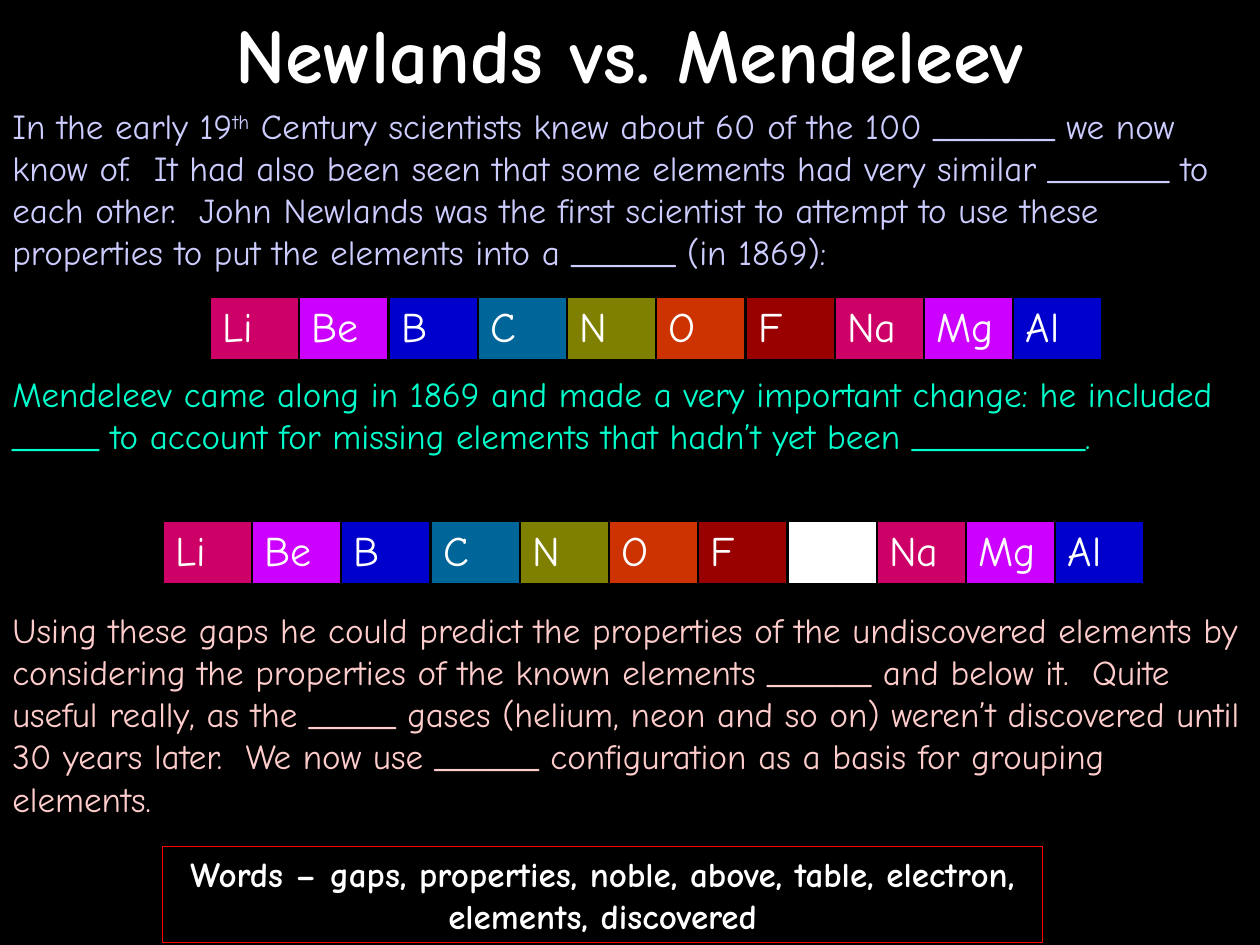
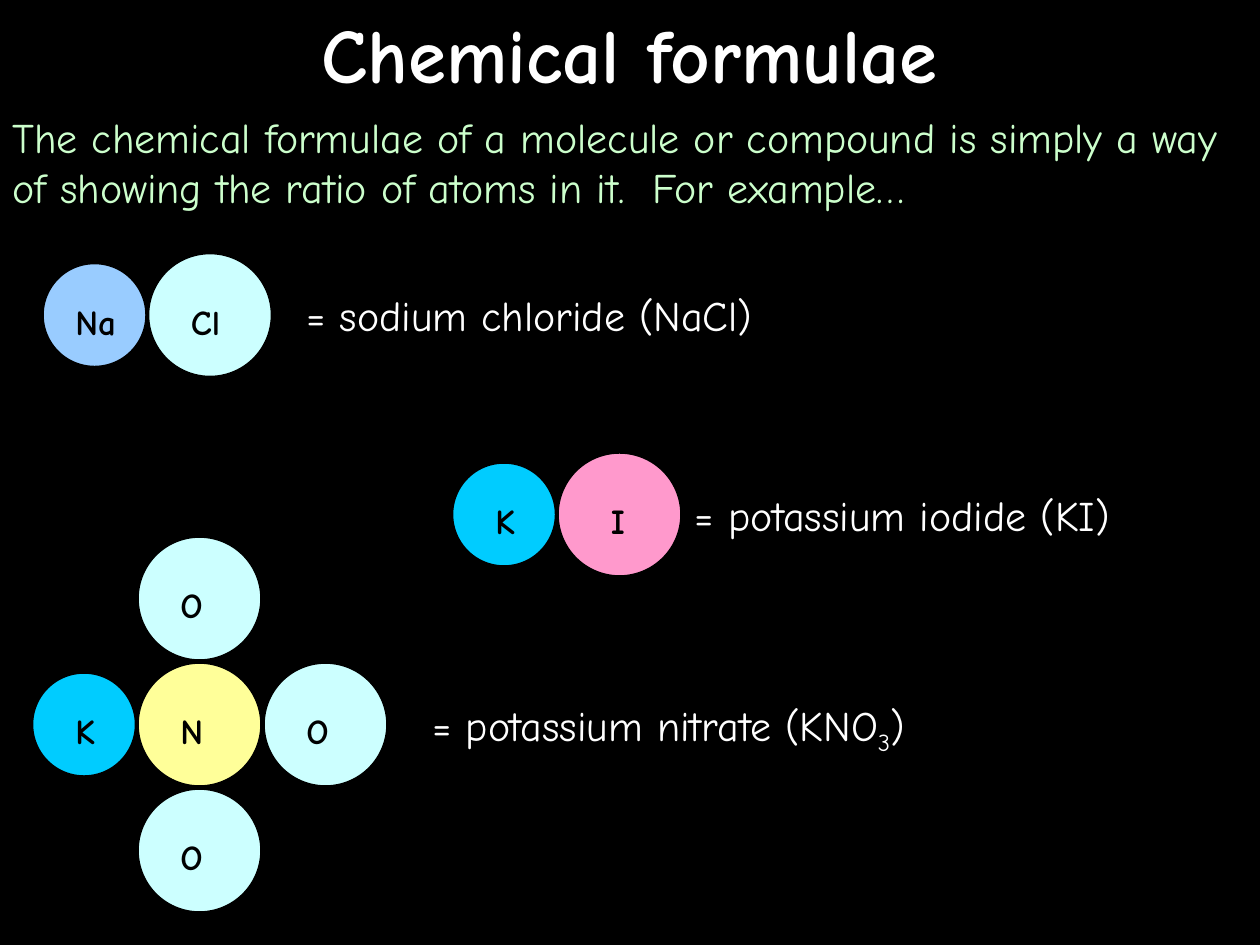
from dataclasses import dataclass
from typing import NamedTuple

from lxml.etree import SubElement
from pptx import Presentation
from pptx.dml.color import RGBColor
from pptx.enum.shapes import MSO_SHAPE as Preset
from pptx.enum.text import MSO_ANCHOR as Anchor, PP_ALIGN as Align
from pptx.oxml.ns import qn
from pptx.util import Inches, Pt

COLUMNS = 12
UNIT = 10 / COLUMNS
FONT = "Comic Neue"

BLACK = RGBColor(0x00, 0x00, 0x00)
WHITE = RGBColor(0xFF, 0xFF, 0xFF)
RED = RGBColor(0xFF, 0x00, 0x00)
LAVENDER = RGBColor(0xCC, 0xCC, 0xFF)
MINT = RGBColor(0x00, 0xFF, 0xCC)
ROSE = RGBColor(0xFF, 0xCC, 0xCC)
PALE_GREEN = RGBColor(0xCC, 0xFF, 0xCC)
SKY = RGBColor(0x99, 0xCC, 0xFF)
ICE = RGBColor(0xCC, 0xFF, 0xFF)
CYAN = RGBColor(0x00, 0xCC, 0xFF)
PINK = RGBColor(0xFF, 0x99, 0xCC)
LEMON = RGBColor(0xFF, 0xFF, 0x99)

GROUP_COLOURS = [
    RGBColor(0xCC, 0x00, 0x66),
    RGBColor(0xCC, 0x00, 0xFF),
    RGBColor(0x00, 0x00, 0xCC),
    RGBColor(0x00, 0x66, 0x99),
    RGBColor(0x80, 0x80, 0x00),
    RGBColor(0xCC, 0x33, 0x00),
    RGBColor(0x99, 0x00, 0x00),
]
FIRST_PERIOD = ["Li", "Be", "B", "C", "N", "O", "F"]
SECOND_PERIOD = ["Na", "Mg", "Al"]
GAP = ""
CELL_WIDTH, CELL_HEIGHT = 0.85, 0.6
CELL_BORDERS = {"a:lnL": 1.47, "a:lnR": 1.47, "a:lnT": 1.08, "a:lnB": 1.08}

SMALL_ATOM, LARGE_ATOM = 1.0, 1.19
LABEL_WIDTH, LABEL_HEIGHT, LABEL_RISE = 0.7, 0.53, 0.2


class Area(NamedTuple):
    column: float
    row: float
    columns: float
    rows: float


class Span(NamedTuple):
    text: str
    baseline: int = 0


@dataclass
class Passage:
    area: Area
    spans: list[Span]
    colour: RGBColor = WHITE
    size: float = 24
    bold: bool = False
    align: Align = Align.LEFT
    anchor: Anchor = Anchor.TOP


@dataclass
class Atom:
    symbol: str
    column: float
    row: float
    colour: RGBColor
    diameter: float = LARGE_ATOM
    label_shift: float = 0.3


def place(area: Area) -> list[int]:
    return [Inches(UNIT * length) for length in area]


def write(frame, passage: Passage) -> None:
    frame.word_wrap = True
    frame.vertical_anchor = passage.anchor
    para = frame.paragraphs[0]
    para.alignment = passage.align
    for text, baseline in passage.spans:
        span = para.add_run()
        span.text = text
        span.font.name = FONT
        span.font.size = Pt(passage.size)
        span.font.bold = passage.bold
        span.font.color.rgb = passage.colour
        if baseline:
            span.font._element.set("baseline", str(baseline * 1000))


def add_passage(page, passage: Passage) -> None:
    box = page.shapes.add_textbox(*place(passage.area))
    write(box.text_frame, passage)


def add_page(deck, title: str):
    page = deck.slides.add_slide(deck.slide_layouts[6])
    page.background.fill.solid()
    page.background.fill.fore_color.rgb = BLACK
    add_passage(page, Passage(Area(0, 0, COLUMNS, 1), [Span(title)], size=44,
                              bold=True, align=Align.CENTER, anchor=Anchor.MIDDLE))
    return page


def add_framed_passage(page, passage: Passage, line_colour: RGBColor) -> None:
    frame = page.shapes.add_shape(Preset.RECTANGLE, *place(passage.area))
    frame.shadow.inherit = False
    frame.fill.background()
    frame.line.color.rgb = line_colour
    frame.line.width = Pt(0.75)
    write(frame.text_frame, passage)


def add_cell_borders(cell) -> None:
    properties = cell._tc.get_or_add_tcPr()
    for side, width in CELL_BORDERS.items():
        line = SubElement(properties, qn(side), w=str(Pt(width)))
        fill = SubElement(line, qn("a:solidFill"))
        SubElement(fill, qn("a:srgbClr"), val=str(BLACK))


def add_element_row(page, column: float, row: float, symbols: list[str]) -> None:
    area = Area(column, row, CELL_WIDTH * len(symbols), CELL_HEIGHT)
    table = page.shapes.add_table(1, len(symbols), *place(area)).table
    table.first_row = False
    table.horz_banding = False
    elements = [symbol for symbol in symbols if symbol != GAP]
    for index, symbol in enumerate(symbols):
        cell = table.cell(0, index)
        cell.vertical_anchor = Anchor.MIDDLE
        add_cell_borders(cell)
        cell.fill.solid()
        if symbol == GAP:
            cell.fill.fore_color.rgb = WHITE
            continue
        group = elements.index(symbol) % len(GROUP_COLOURS)
        cell.fill.fore_color.rgb = GROUP_COLOURS[group]
        write(cell.text_frame, Passage(area, [Span(symbol)], anchor=Anchor.MIDDLE))


def add_atom(page, atom: Atom) -> None:
    radius = atom.diameter / 2
    area = Area(atom.column - radius, atom.row - radius, atom.diameter, atom.diameter)
    circle = page.shapes.add_shape(Preset.OVAL, *place(area))
    circle.shadow.inherit = False
    circle.fill.solid()
    circle.fill.fore_color.rgb = atom.colour
    circle.line.color.rgb = BLACK
    circle.line.width = Pt(2)
    label = Area(atom.column - atom.label_shift, atom.row - LABEL_RISE,
                 LABEL_WIDTH, LABEL_HEIGHT)
    add_passage(page, Passage(label, [Span(atom.symbol)], BLACK, 20, bold=True))


def add_newlands_page(deck) -> None:
    page = add_page(deck, "Newlands vs. Mendeleev")
    add_element_row(page, 2, 2.83, FIRST_PERIOD + SECOND_PERIOD)
    add_element_row(page, 1.55, 4.96, FIRST_PERIOD + [GAP] + SECOND_PERIOD)
    passages = [
        Passage(Area(0, 0.94, COLUMNS, 1.73), [
            Span("In the early 19"),
            Span("th", 30),
            Span(" Century scientists knew about 60 of the 100 _______ we now know of.  "
                 "It had also been seen that some elements had very similar _______ to "
                 "each other.  John Newlands was the first scientist to attempt to use "
                 "these properties to put the elements into a ______ (in 1869):"),
        ], LAVENDER, 20),
        Passage(Area(0, 3.49, COLUMNS, 0.92), [
            Span("Mendeleev came along in 1869 and made a very important change: he "
                 "included _____ to account for missing elements that hadn’t yet been "
                 "__________."),
        ], MINT, 20),
        Passage(Area(0, 5.74, COLUMNS, 2.12), [
            Span("Using these gaps he could predict the properties of the undiscovered "
                 "elements by considering the properties of the known elements ______ "
                 "and below it.  Quite useful really, as the _____ gases (helium, neon "
                 "and so on) weren’t discovered until 30 years later.  We now use "
                 "______ configuration as a basis for grouping elements."),
        ], ROSE, 20),
    ]
    for passage in passages:
        add_passage(page, passage)
    words = Span("Words – gaps, properties, noble, above, table, electron, "
                 "elements, discovered")
    add_framed_passage(page, Passage(Area(1.55, 8.06, 8.38, 0.92), [words], size=20,
                                     bold=True, align=Align.CENTER), RED)


def add_formulae_page(deck) -> None:
    page = add_page(deck, "Chemical formulae")
    atoms = [
        Atom("Na", 0.9, 3, SKY, SMALL_ATOM),
        Atom("Cl", 2, 3, ICE),
        Atom("K", 4.8, 4.9, CYAN, SMALL_ATOM, 0.2),
        Atom("I", 5.9, 4.9, PINK, label_shift=0.2),
        Atom("K", 0.8, 6.9, CYAN, SMALL_ATOM, 0.2),
        Atom("N", 1.9, 6.9, LEMON),
        Atom("O", 1.9, 5.7, ICE),
        Atom("O", 3.1, 6.9, ICE),
        Atom("O", 1.9, 8.1, ICE),
    ]
    for atom in atoms:
        add_atom(page, atom)
    passages = [
        Passage(Area(0, 1, COLUMNS, 1.08), [
            Span("The chemical formulae of a molecule or compound is simply a way of "
                 "showing the ratio of atoms in it.  For example…"),
        ], PALE_GREEN),
        Passage(Area(2.8, 2.7, 5.5, 0.6), [Span("= sodium chloride (NaCl)")]),
        Passage(Area(6.5, 4.6, 4.7, 0.6), [Span("= potassium iodide (KI)")]),
        Passage(Area(4, 6.6, 5.9, 0.67), [
            Span("= potassium nitrate (KNO"), Span("3", -25), Span(")"),
        ]),
    ]
    for passage in passages:
        add_passage(page, passage)


def main() -> None:
    deck = Presentation()
    deck.slide_width = Inches(10)
    deck.slide_height = Inches(7.5)
    add_newlands_page(deck)
    add_formulae_page(deck)
    deck.save("out.pptx")


if __name__ == "__main__":
    main()
